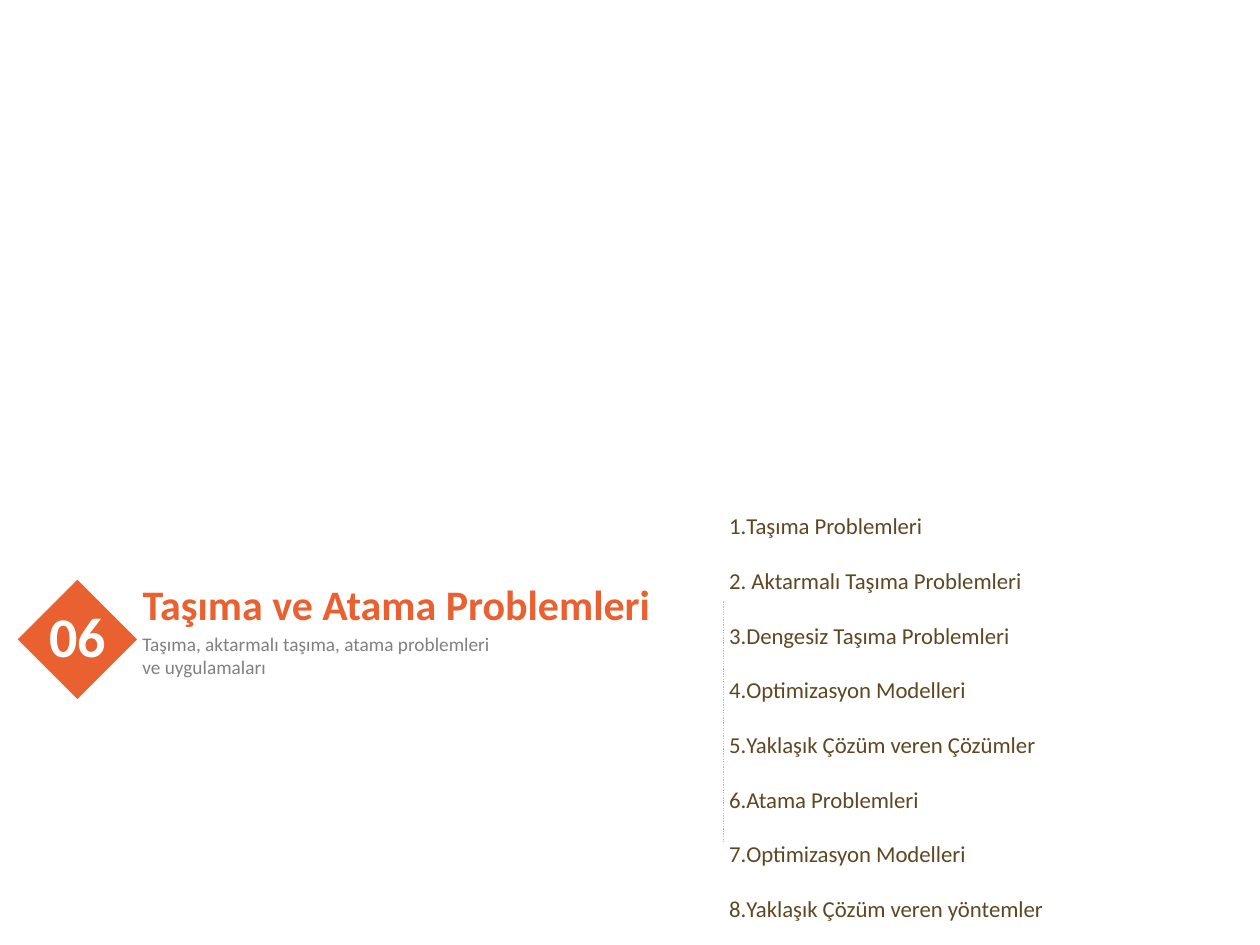
from lxml import etree
from pptx import Presentation
from pptx import util as u
from pptx.dml.color import RGBColor
from pptx.enum import dml, shapes, text
from pptx.oxml.ns import qn

COLORS = {"accent": "EA6131", "list": "5E4722", "muted": "808080",
          "rule": "BFBFBF", "white": "FFFFFF"}
TOPICS = ["Taşıma Problemleri", " Aktarmalı Taşıma Problemleri",
          "Dengesiz Taşıma Problemleri", "Optimizasyon Modelleri",
          "Yaklaşık Çözüm veren Çözümler", "Atama Problemleri",
          "Optimizasyon Modelleri", "Yaklaşık Çözüm veren yöntemler"]


class Deck:
    """Holds the style and the current slide."""
    font = "Calibri"

    def __init__(self, prs):
        self.slide = prs.slides.add_slide(prs.slide_layouts[5])

    def color(self, name):
        return RGBColor.from_string(COLORS[name])

    def run(self, p, content, size, color, bold=False):
        r = p.add_run()
        r.text = content
        r.font.name, r.font.size, r.font.bold = self.font, u.Pt(size), bold
        r.font.color.rgb = self.color(color)

    def title(self, box, content, size, color):
        sp = self.slide.shapes.title
        sp.left, sp.top, sp.width, sp.height = map(u.Cm, box)
        tf = sp.text_frame
        tf.vertical_anchor = text.MSO_ANCHOR.TOP
        tf.auto_size = text.MSO_AUTO_SIZE.SHAPE_TO_FIT_TEXT
        p = tf.paragraphs[0]
        p.alignment = text.PP_ALIGN.LEFT
        self.run(p, content, size, color, True)

    def text_box(self, box, lines, size, color, bold=False, wrap=True, numbered=False):
        tf = self.slide.shapes.add_textbox(*map(u.Cm, box)).text_frame
        tf.word_wrap = wrap
        tf.auto_size = text.MSO_AUTO_SIZE.SHAPE_TO_FIT_TEXT
        for i, line in enumerate(lines):
            p = tf.add_paragraph() if i else tf.paragraphs[0]
            if numbered:
                self.number(p)
            self.run(p, line, size, color, bold)

    def number(self, p):
        """Gives a paragraph automatic numbering and double spacing."""
        pPr = p._p.get_or_add_pPr()
        pPr.set("marL", "0")
        pPr.set("indent", str(-u.Cm(0.635)))
        etree.SubElement(pPr, qn("a:buFont"), typeface="+mj-lt")
        etree.SubElement(pPr, qn("a:buAutoNum"), type="arabicPeriod")
        p.line_spacing = 2.0

    def diamond(self, box, color):
        sp = self.slide.shapes.add_shape(shapes.MSO_SHAPE.RECTANGLE, *map(u.Cm, box))
        sp.rotation = 45
        sp.shadow.inherit = False
        sp.fill.solid()
        sp.fill.fore_color.rgb = self.color(color)
        sp.line.fill.background()

    def dotted_line(self, ends, color):
        line = self.slide.shapes.add_connector(
            shapes.MSO_CONNECTOR.STRAIGHT, *map(u.Cm, ends))
        line.line.color.rgb = self.color(color)
        line.line.width = u.Pt(0.75)
        line.line.dash_style = dml.MSO_LINE.ROUND_DOT
        etree.SubElement(line._element.spPr, qn("a:effectLst"))


def main():
    prs = Presentation()
    prs.slide_width, prs.slide_height = u.Cm(25.4), u.Cm(19.05)
    deck = Deck(prs)
    deck.text_box((14.45, 9.65, 8.33, 8.99), TOPICS, 13, "list", numbered=True)
    deck.diamond((0.71, 12.04, 1.7, 1.7), "accent")
    deck.title((2.62, 11.53, 11.46, 1.27), "Taşıma ve Atama Problemleri", 24, "accent")
    deck.text_box((0.74, 12.01, 1.68, 1.63), ["06"], 32, "white", bold=True, wrap=False)
    deck.text_box((2.62, 12.62, 7.52, 1.19),
                  ["Taşıma, aktarmalı taşıma, atama problemleri ve uygulamaları"], 11, "muted")
    deck.dotted_line((14.58, 12.12, 14.58, 16.99), "rule")
    prs.save("out.pptx")


if __name__ == "__main__":
    main()
